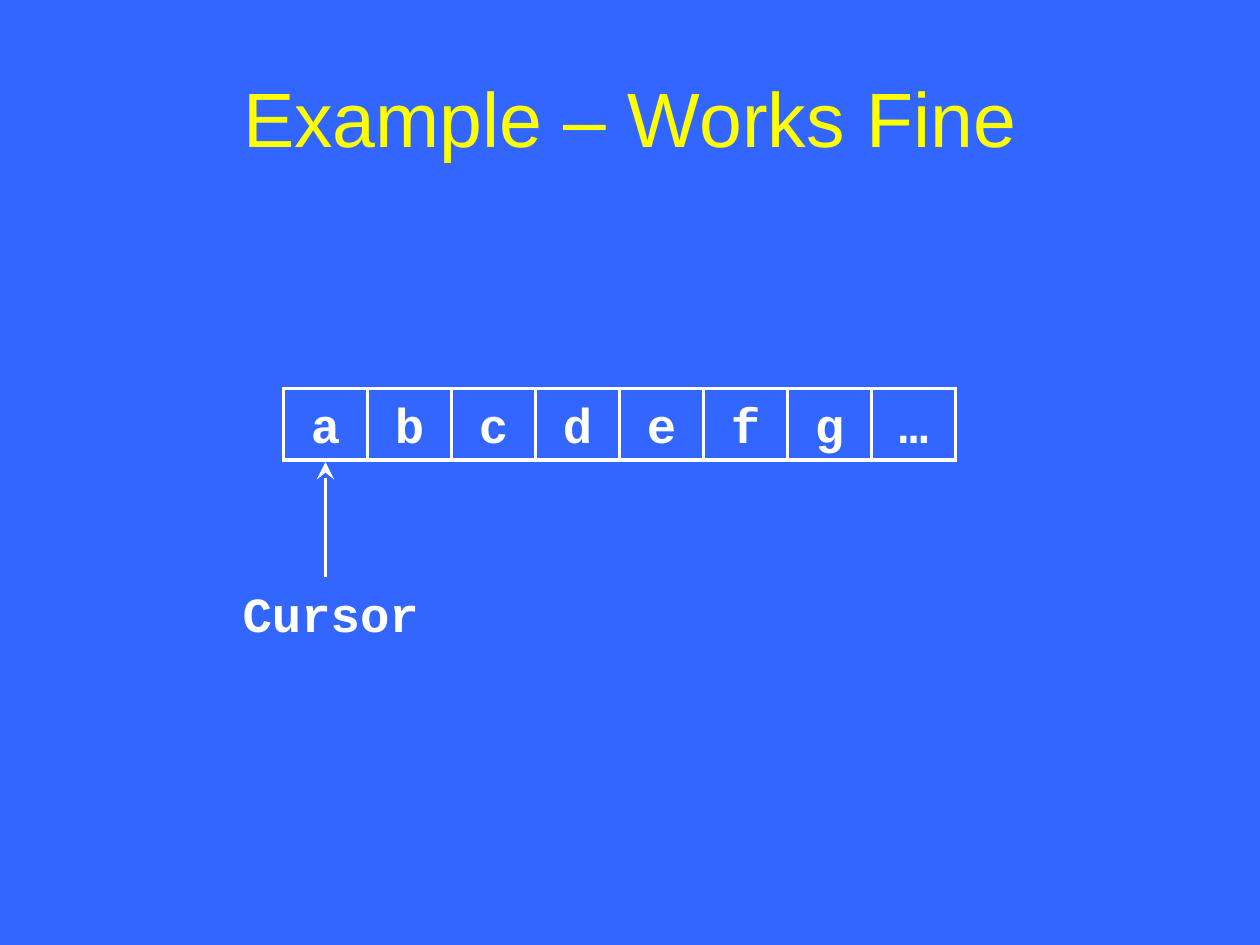
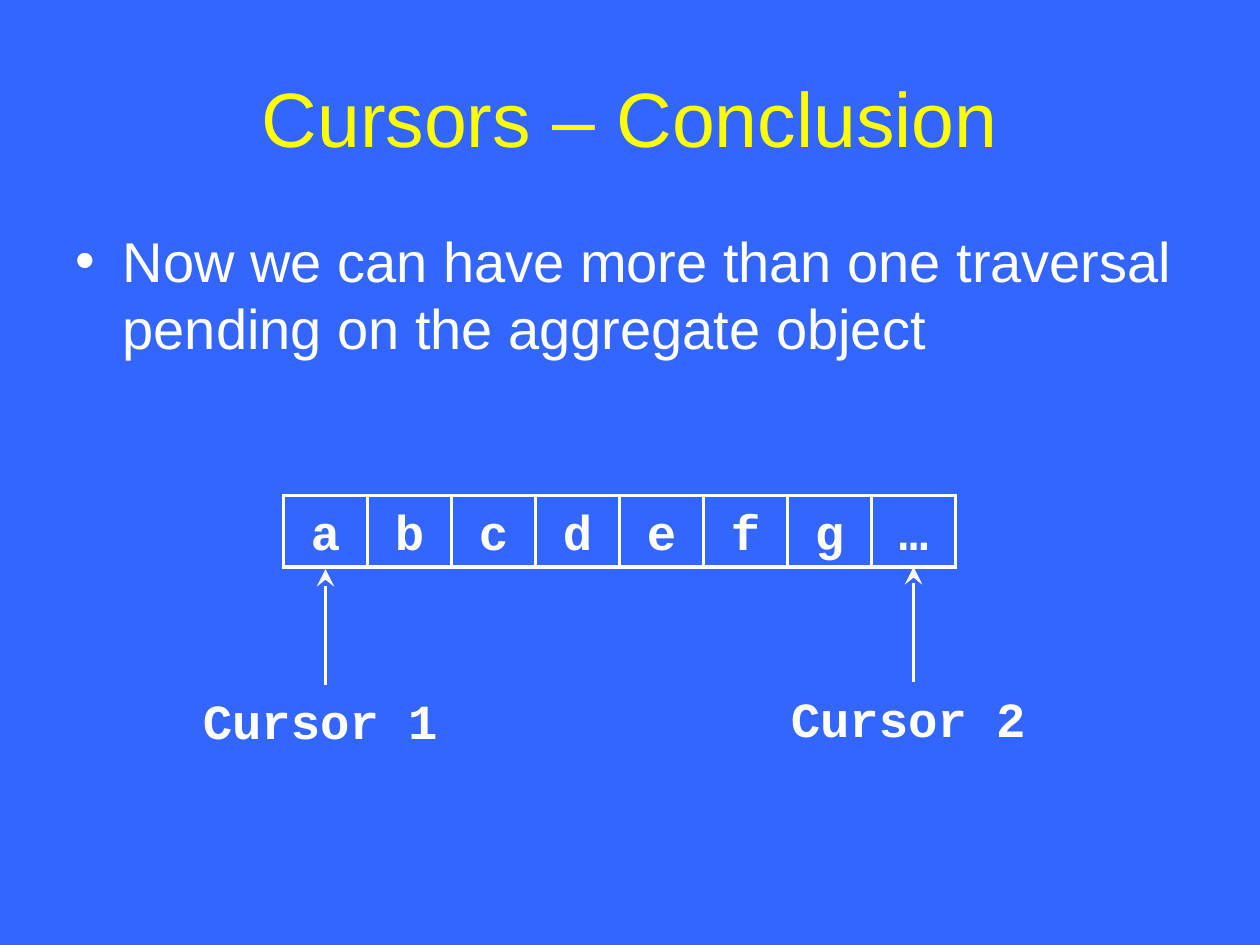
import pptx
import pptx.dml.color
import pptx.enum.shapes
import pptx.enum.text
import pptx.oxml
import pptx.oxml.ns
import pptx.util

PX = 7620  # 120 px to the inch
BLUE = pptx.dml.color.RGBColor(0x33, 0x66, 0xFF)
YELLOW = pptx.dml.color.RGBColor(0xFF, 0xFF, 0x00)
WHITE = pptx.dml.color.RGBColor(0xFF, 0xFF, 0xFF)
SANS, MONO = "Arial", "Courier New"
ALIGN = pptx.enum.text.PP_ALIGN
ANCHOR = pptx.enum.text.MSO_ANCHOR

ITEMS = "abcdefg…"
LEFT, CELL, HIGH = 270, 80, 68  # row of cells
REACH = 110  # arrow length

# Each slide: title, point, top of row,
# cursors (name, arrow x, arrow foot, label left, label width)
SLIDES = [
    ("Example – Works Fine", None, 370,
     [("Cursor", 310, 550, 210, 210)]),
    ("Cursors – Conclusion",
     "Now we can have more than one traversal pending on the aggregate object",
     472,
     [("Cursor 1", 310, 652, 180, 250), ("Cursor 2", 870, 650, 740, 250)]),
]


def write(shape, text, face, size, color, bold=False,
          align=ALIGN.CENTER, anchor=ANCHOR.TOP):
    frame = shape.text_frame
    frame.word_wrap = True
    frame.auto_size = pptx.enum.text.MSO_AUTO_SIZE.NONE
    frame.vertical_anchor = anchor
    frame.margin_left = frame.margin_right = 12 * PX
    frame.margin_top = frame.margin_bottom = 6 * PX
    para = frame.paragraphs[0]
    para.alignment = align
    run = para.add_run()
    run.text = text
    run.font.name = face
    run.font.size = pptx.util.Pt(size)
    run.font.bold = bold
    run.font.color.rgb = color
    return para


def extend(parent, tag, **attrs):
    node = pptx.oxml.parse_xml(f"<a:{tag} {pptx.oxml.ns.nsdecls('a')}/>")
    for key, value in attrs.items():
        node.set(key, value)
    parent.append(node)


prs = pptx.Presentation()
prs.slide_width, prs.slide_height = 1200 * PX, 900 * PX

# Shared background
fill = prs.slide_master.background.fill
fill.solid()
fill.fore_color.rgb = BLUE

for name, point, top, cursors in SLIDES:
    slide = prs.slides.add_slide(prs.slide_layouts[5])
    shapes = slide.shapes

    # Title
    title = shapes.title
    title.left, title.top = 60 * PX, 36 * PX
    title.width, title.height = 1080 * PX, 150 * PX
    write(title, name, SANS, 44, YELLOW, anchor=ANCHOR.MIDDLE)

    # Bullet point
    if point:
        body = shapes.add_textbox(60 * PX, 210 * PX, 1080 * PX, 594 * PX)
        para = write(body, point, SANS, 32, WHITE, align=ALIGN.LEFT)
        props = para._p.get_or_add_pPr()
        props.set("marL", str(45 * PX))
        props.set("indent", str(-45 * PX))
        extend(props, "buFont", typeface=SANS)
        extend(props, "buChar", char="•")

    # Row of cells
    for i, item in enumerate(ITEMS):
        cell = shapes.add_shape(pptx.enum.shapes.MSO_SHAPE.RECTANGLE,
                                (LEFT + i * CELL) * PX, top * PX,
                                CELL * PX, HIGH * PX)
        cell.shadow.inherit = False
        cell.fill.background()
        cell.line.color.rgb = WHITE
        cell.line.width = pptx.util.Pt(2)
        extend(cell.line._get_or_add_ln(), "miter", lim="800000")
        write(cell, item, MONO, 28, WHITE, bold=True)

    # Cursors: arrow and label
    for label, x, foot, left, width in cursors:
        arrow = shapes.add_connector(pptx.enum.shapes.MSO_CONNECTOR.STRAIGHT,
                                     x * PX, foot * PX,
                                     x * PX, (foot - REACH) * PX)
        arrow.line.color.rgb = WHITE
        arrow.line.width = pptx.util.Pt(2)
        extend(arrow.line._get_or_add_ln(), "tailEnd",
               type="stealth", w="lg", len="lg")
        extend(arrow._element.spPr, "effectLst")
        box = shapes.add_textbox(left * PX, foot * PX, width * PX, HIGH * PX)
        write(box, label, MONO, 28, WHITE, bold=True)

prs.save("out.pptx")
